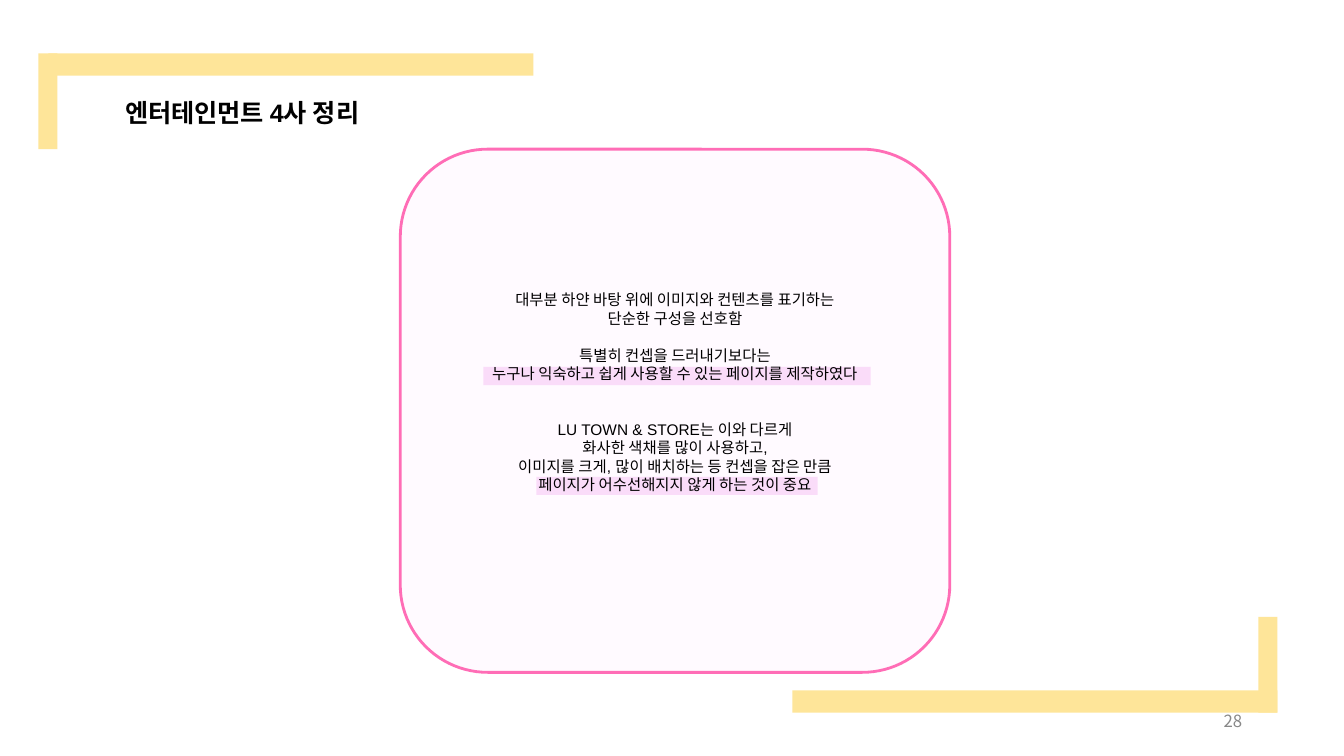
from dataclasses import dataclass

from lxml import etree
from pptx import Presentation, util as u
from pptx.dml.color import RGBColor
from pptx.enum import shapes, text
from pptx.oxml.ns import qn


@dataclass(frozen=True)
class Theme:
    yellow: str = "FEE599"
    highlight: str = "F9D3F8"
    card: str = "FFCCFF"
    border: str = "FF6DB6"
    ink: str = "000000"
    muted: str = "888888"
    font: str = "Arial"
    number_font: str = "Noto Sans CJK KR"
    title_size: int = 18
    body_size: int = 11
    number_size: int = 12
    line_pitch: float = 13.2


@dataclass(frozen=True)
class Box:
    left: float
    top: float
    width: float
    height: float

    def lengths(self):
        return [u.Inches(n) for n in (self.left, self.top, self.width, self.height)]


THEME = Theme()
SUMMARY = [
    ("대부분 하얀 바탕 위에 이미지와 컨텐츠를 표기하는", 0),
    ("단순한 구성을 선호함", 0),
    ("특별히 컨셉을 드러내기보다는", 1),
    ("누구나 익숙하고 쉽게 사용할 수 있는 페이지를 제작하였다", 0),
    ("LU TOWN & STORE는 이와 다르게", 2),
    ("화사한 색채를 많이 사용하고,", 0),
    ("이미지를 크게, 많이 배치하는 등 컨셉을 잡은 만큼", 0),
    ("페이지가 어수선해지지 않게 하는 것이 중요", 0),
]


def write(paragraph, words, size, color=THEME.ink, font=THEME.font, bold=False,
          align=text.PP_ALIGN.LEFT, before=0):
    paragraph.alignment = align
    paragraph.space_before = u.Pt(before)
    run = paragraph.add_run()
    run.text = words
    run.font.size = u.Pt(size)
    run.font.name = font
    run.font.bold = bold
    run.font.color.rgb = RGBColor.from_string(color)


def add_block(slide, box, color, opacity=100, kind=shapes.MSO_SHAPE.RECTANGLE):
    shape = slide.shapes.add_shape(kind, *box.lengths())
    shape.shadow.inherit = False
    shape.fill.solid()
    shape.fill.fore_color.rgb = RGBColor.from_string(color)
    if opacity < 100:
        rgb = shape.fill._xPr.find(".//" + qn("a:srgbClr"))
        etree.SubElement(rgb, qn("a:alpha"), val=str(opacity * 1000))
    shape.line.fill.background()
    return shape


def add_corner(slide, box, at_end=False):
    thick, thin, bar = 0.22, 0.19, 4.81
    right, bottom = box.left + box.width, box.top + box.height
    post_left = right - thin if at_end else box.left
    bar_top = bottom - thick if at_end else box.top
    add_block(slide, Box(post_left, box.top, thin, box.height), THEME.yellow)
    add_block(slide, Box(right - bar, bar_top, bar, thick), THEME.yellow)


def add_title(slide, box):
    title = slide.shapes.title
    title.left, title.top, title.width, title.height = box.lengths()
    frame = title.text_frame
    frame.auto_size = text.MSO_AUTO_SIZE.NONE
    frame.vertical_anchor = text.MSO_ANCHOR.TOP
    write(frame.paragraphs[0], "엔터테인먼트 4사 정리", THEME.title_size, bold=True)


def add_page_number(slide, box):
    frame = slide.shapes.add_textbox(*box.lengths()).text_frame
    frame.word_wrap = True
    frame.vertical_anchor = text.MSO_ANCHOR.MIDDLE
    write(frame.paragraphs[0], "28", THEME.number_size, color=THEME.muted,
          font=THEME.number_font, align=text.PP_ALIGN.RIGHT)


def add_summary(slide, box):
    center = box.left + box.width / 2
    for offset, width in ((2.16, 3.84), (3.25, 2.79)):
        marker = Box(center - width / 2 + 0.02, box.top + offset, width, 0.18)
        add_block(slide, marker, THEME.highlight, opacity=74)
    card = add_block(slide, box, THEME.card, opacity=9,
                     kind=shapes.MSO_SHAPE.ROUNDED_RECTANGLE)
    card.adjustments[0] = 0.167
    card.line.color.rgb = RGBColor.from_string(THEME.border)
    card.line.width = u.Pt(2)
    frame = card.text_frame
    frame.word_wrap = True
    frame.vertical_anchor = text.MSO_ANCHOR.MIDDLE
    frame.margin_bottom = u.Inches(0.42)
    for index, (words, gap) in enumerate(SUMMARY):
        paragraph = frame.add_paragraph() if index else frame.paragraphs[0]
        write(paragraph, words, THEME.body_size, align=text.PP_ALIGN.CENTER,
              before=gap * THEME.line_pitch)


def main():
    presentation = Presentation()
    presentation.slide_width = u.Inches(13.33)
    presentation.slide_height = u.Inches(7.5)
    slide = presentation.slides.add_slide(presentation.slide_layouts[5])
    add_corner(slide, Box(0.38, 0.53, 4.91, 0.95))
    add_corner(slide, Box(7.86, 6.12, 4.81, 0.95), at_end=True)
    add_title(slide, Box(1.14, 0.92, 4.71, 0.4))
    add_page_number(slide, Box(9.42, 6.95, 3, 0.4))
    add_summary(slide, Box(3.97, 1.48, 5.45, 5.19))
    presentation.save("out.pptx")


if __name__ == "__main__":
    main()
